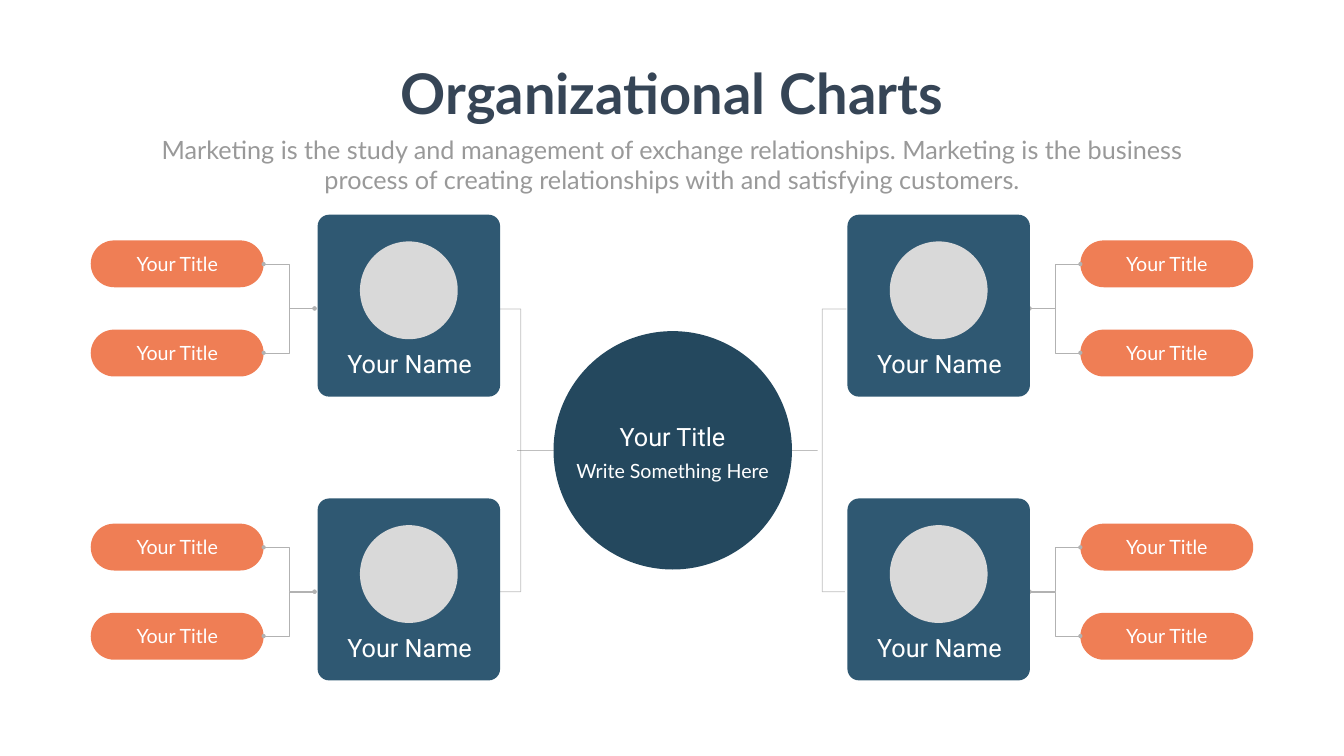
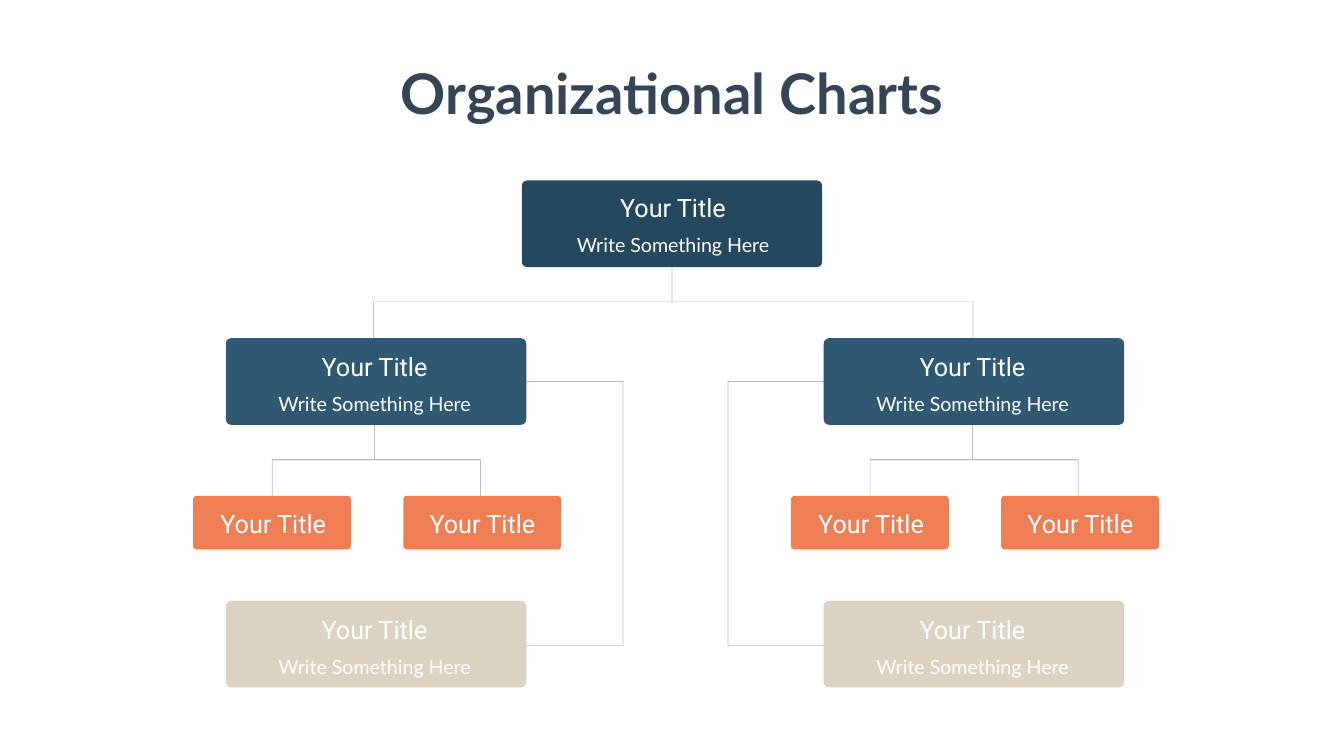
from typing import NamedTuple, Optional

from lxml.etree import SubElement
from pptx import Presentation
from pptx.dml.color import RGBColor
from pptx.enum.shapes import MSO_CONNECTOR as Link, MSO_SHAPE as Shape
from pptx.enum.text import MSO_AUTO_SIZE as AutoSize, PP_ALIGN as Align
from pptx.oxml.ns import qn
from pptx.slide import Slide
from pptx.util import Inches, Pt

# Shared palette
NAVY, BLUE, ORANGE, SAND = "24485E", "2F5872", "EF7E55", "DCD3C3"
WHITE, PORTRAIT, SLATE, MUTED = "FFFFFF", "D9D9D9", "364556", "999999"
RULE, BRANCH_LINE = "808080", "B2B2B2"

CORNER = 0.063
CENTER = 13.33


class TextStyle(NamedTuple):
    font: str
    size: float
    color: str = WHITE
    bold: bool = False
    spacing: Optional[float] = None
    wrap: bool = True


class LineStyle(NamedTuple):
    color: str
    width: float
    opacity: int = 100
    dots: bool = False


class Point(NamedTuple):
    x: float
    y: float


class TitledBox(NamedTuple):
    left: float
    top: float
    fill: str
    text_center: float
    heading_top: float


TITLE = TextStyle("Lato", 80, SLATE, bold=True, wrap=False)
SUBTITLE = TextStyle("Lato", 36, MUTED)
HEADING = TextStyle("Roboto", 36)
CAPTION = TextStyle("Lato", 28, spacing=40.8)
PILL_LABEL = TextStyle("Lato", 28)

THIN = LineStyle(RULE, 1, opacity=50)
HAIRLINE = LineStyle(RULE, 0, opacity=50)
DOTTED_ENDS = LineStyle(BRANCH_LINE, 0.5, dots=True)


def rgb(color: str) -> RGBColor:
    return RGBColor.from_string(color)


def draw_shape(slide: Slide, kind: Shape, left: float, top: float, width: float,
               height: float, fill: str, corner: Optional[float] = None) -> None:
    shape = slide.shapes.add_shape(
        kind, Inches(left), Inches(top), Inches(width), Inches(height))
    shape.shadow.inherit = False
    shape.fill.solid()
    shape.fill.fore_color.rgb = rgb(fill)
    shape.line.fill.background()
    if corner is not None:
        shape.adjustments[0] = corner


def write(slide: Slide, text: str, center: float, top: float, width: float,
          height: float, style: TextStyle) -> None:
    """Write one centred paragraph in a box centred on the given x."""
    frame = slide.shapes.add_textbox(
        Inches(center - width / 2), Inches(top), Inches(width), Inches(height)).text_frame
    frame.word_wrap = style.wrap
    frame.auto_size = AutoSize.SHAPE_TO_FIT_TEXT
    paragraph = frame.paragraphs[0]
    paragraph.text = text
    paragraph.alignment = Align.CENTER
    if style.spacing:
        paragraph.line_spacing = Pt(style.spacing)
    font = paragraph.font
    font.name, font.size, font.bold = style.font, Pt(style.size), style.bold
    font.color.rgb = rgb(style.color)


def connect(slide: Slide, start: Point, end: Point, style: LineStyle = THIN,
            kind: Link = Link.STRAIGHT, bend: Optional[float] = None) -> None:
    """Join two points; bend places an elbow as a multiple of the width."""
    link = slide.shapes.add_connector(
        kind, Inches(start.x), Inches(start.y), Inches(end.x), Inches(end.y))
    link.line.color.rgb = rgb(style.color)
    link.line.width = Pt(style.width)
    properties = link.element.spPr
    stroke = properties.find(qn("a:ln"))
    if style.opacity < 100:
        tint = stroke.find(".//" + qn("a:srgbClr"))
        SubElement(tint, qn("a:alpha"), val=str(style.opacity * 1000))
    if style.dots:
        for tip in ("a:headEnd", "a:tailEnd"):
            SubElement(stroke, qn(tip), type="oval")
    if bend is not None:
        guides = properties.find(".//" + qn("a:avLst"))
        SubElement(guides, qn("a:gd"), name="adj1", fmla=f"val {round(bend * 100000)}")
    SubElement(properties, qn("a:effectLst"))


def add_title(slide: Slide) -> None:
    write(slide, "Organizational Charts", CENTER, 1.12, 11.26, 1.45, TITLE)


def add_heading(slide: Slide, center: float, top: float, caption_gap: float) -> None:
    """Heading with the caption beneath it."""
    write(slide, "Write Something Here", center, top + caption_gap, 4.94, 0.62, CAPTION)
    write(slide, "Your Title", center, top, 4.13, 0.71, HEADING)


# Slide 1: hub with four people, each with two pills
ROW_PITCH = 5.62


def add_branch(slide: Slide, pill_left: float, joint: Point, pill_edge: float) -> None:
    """Two pills joined to one card."""
    for side in (-1, 1):
        top = joint.y - 0.465 + side * 0.885
        draw_shape(slide, Shape.ROUNDED_RECTANGLE, pill_left, top, 3.43, 0.93, ORANGE, 0.5)
        connect(slide, joint, Point(pill_edge, joint.y + side * 0.88), DOTTED_ENDS, Link.ELBOW)
        write(slide, "Your Title", pill_left + 1.715, top + 0.17, 2.65, 0.57, PILL_LABEL)


def add_person(slide: Slide, left: float, top: float) -> None:
    draw_shape(slide, Shape.ROUNDED_RECTANGLE, left, top, 3.62, 3.61, BLUE, CORNER)
    draw_shape(slide, Shape.OVAL, left + 0.84, top + 0.53, 1.94, 1.94, PORTRAIT)
    write(slide, "Your Name", left + 1.825, top + 2.6, 4.13, 0.71, HEADING)


def build_hub(slide: Slide) -> None:
    # Brackets between the cards and the hub
    for outer, inner in ((16.79, 16.76), (9.85, 9.88)):
        connect(slide, Point(outer, 6.13), Point(inner, 11.74), THIN, Link.ELBOW, bend=16)
    connect(slide, Point(10.26, 8.94), Point(16.22, 8.94))

    # Hub
    draw_shape(slide, Shape.OVAL, 10.98, 6.57, 4.73, 4.73, NAVY)
    add_heading(slide, 13.34, 8.3, 0.66)

    # Pills, then people
    for pill_left, joint_x, pill_edge in ((21.43, 20.42, 21.43), (1.8, 6.24, 5.23)):
        for row in range(2):
            add_branch(slide, pill_left, Point(joint_x, 6.12 + row * ROW_PITCH), pill_edge)
    for card_left in (6.3, 16.81):
        for row in range(2):
            add_person(slide, card_left, 4.26 + row * 5.63)

    add_title(slide)
    write(slide, "Marketing is the study and management of exchange relationships. "
          "Marketing is the business process of creating relationships with and "
          "satisfying customers.", CENTER, 2.61, 20.82, 1.31, SUBTITLE)


# Slide 2: tree with two mirrored departments
DEPARTMENT_PITCH = 11.86


def add_titled_box(slide: Slide, box: TitledBox) -> None:
    draw_shape(slide, Shape.ROUNDED_RECTANGLE, box.left, box.top, 5.96, 1.72, box.fill, CORNER)
    add_heading(slide, box.text_center, box.heading_top, 0.71)


def add_department(slide: Slide, shift: float) -> None:
    # Stem, bar and drops to the teams
    connect(slide, Point(7.43 + shift, 8.39), Point(7.43 + shift, 9.12))
    connect(slide, Point(9.52 + shift, 9.12), Point(5.4 + shift, 9.12), HAIRLINE)
    for drop in (5.4, 9.53):
        connect(slide, Point(drop + shift, 9.11), Point(drop + shift, 9.84))

    # Teams
    for left, center in ((3.83, 5.42), (8, 9.57)):
        draw_shape(slide, Shape.ROUNDED_RECTANGLE, left + shift, 9.84, 3.13, 1.06, ORANGE, CORNER)
        write(slide, "Your Title", center + shift, 10.04, 3, 0.71, HEADING)

    # Department and its support unit
    for top, fill in ((6.71, BLUE), (11.92, SAND)):
        add_titled_box(slide, TitledBox(4.48 + shift, top, fill, 7.43 + shift, top + 0.21))


def build_tree(slide: Slide) -> None:
    # Top box and the lines down to the departments
    add_titled_box(slide, TitledBox(10.35, 3.58, NAVY, 13.35, 3.76))
    connect(slide, Point(7.41, 5.99), Point(19.3, 5.99))
    connect(slide, Point(CENTER, 5.3), Point(CENTER, 5.99))
    for drop in (7.41, 19.3):
        connect(slide, Point(drop, 5.99), Point(drop, 6.71))

    for column in range(2):
        add_department(slide, column * DEPARTMENT_PITCH)

    # Side links from each department to its support unit
    for box_edge, spine in ((10.44, 12.36), (16.36, 14.44)):
        for level in (7.57, 12.81):
            connect(slide, Point(box_edge, level), Point(spine, level))
        connect(slide, Point(spine, 7.55), Point(spine, 12.82))

    add_title(slide)


def main() -> None:
    deck = Presentation()
    deck.slide_width, deck.slide_height = Inches(26.66), Inches(15)
    blank = deck.slide_layouts[6]
    for build in (build_hub, build_tree):
        build(deck.slides.add_slide(blank))
    deck.save("out.pptx")


if __name__ == "__main__":
    main()
